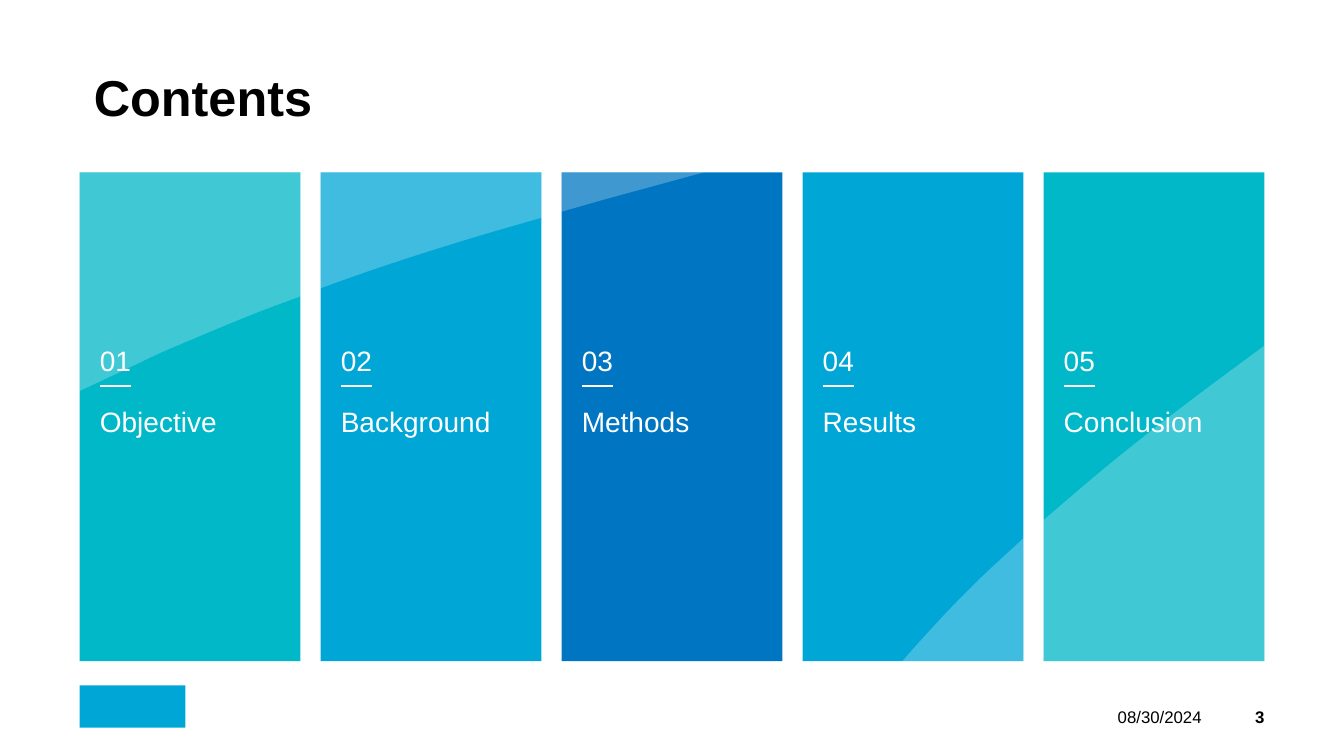
from pptx import Presentation
from pptx.dml.color import RGBColor
from pptx.enum.shapes import MSO_CONNECTOR, MSO_SHAPE
from pptx.enum.text import MSO_ANCHOR, PP_ALIGN
from pptx.oxml.ns import qn
from pptx.util import Inches, Pt
from lxml.etree import SubElement

BLACK = RGBColor(0x00, 0x00, 0x00)
WHITE = RGBColor(0xFF, 0xFF, 0xFF)
TURQUOISE = RGBColor(0x00, 0xB8, 0xC8)
CYAN = RGBColor(0x00, 0xA6, 0xD6)
BLUE = RGBColor(0x00, 0x76, 0xC2)

MARGIN = 0.79
PANEL_TOP, PANEL_WIDTH, PANEL_HEIGHT, PANEL_GAP = 1.71, 2.19, 4.85, 0.2
CURVE_STEPS = 12

# Heading, colour and sheen outline, in inches from the panel's top left corner.
# Two numbers are a straight step, six are a Bezier step.
CHAPTERS = [
    ("Objective", TURQUOISE,
     [(0, 0), (2.19, 0), (2.19, 1.23), (1.84, 1.36),
      (1.48, 1.5, 1.13, 1.65, 0.78, 1.8), (0.55, 1.91, 0.3, 2.03, 0.02, 2.16), (0, 2.17)]),
    ("Background", CYAN,
     [(0, 0), (2.19, 0), (2.19, 0.45), (1.67, 0.6), (1.1, 0.77, 0.54, 0.95, 0, 1.15)]),
    ("Methods", BLUE,
     [(0, 0), (1.41, 0), (0.42, 0.27), (0, 0.39)]),
    ("Results", CYAN,
     [(2.19, 3.63), (2.19, 4.85), (0.99, 4.85), (1.05, 4.78),
      (1.28, 4.52, 1.53, 4.25, 1.8, 3.99)]),
    ("Conclusion", TURQUOISE,
     [(2.19, 1.72), (2.19, 4.85), (0, 4.85), (0, 3.45), (0.28, 3.21),
      (0.73, 2.82, 1.22, 2.44, 1.73, 2.06)]),
]


def write(frame, text, size=20, color=WHITE, bold=False, align=PP_ALIGN.LEFT,
          anchor=MSO_ANCHOR.TOP, inset=0, right_inset=0, spacing=None, wrap=True):
    frame.word_wrap = wrap
    frame.vertical_anchor = anchor
    frame.margin_left, frame.margin_right = Inches(inset), Inches(right_inset)
    frame.margin_top = frame.margin_bottom = 0
    paragraph = frame.paragraphs[0]
    paragraph.alignment = align
    paragraph.line_spacing = spacing
    run = paragraph.add_run()
    run.text = text
    run.font.name, run.font.size, run.font.bold = "Arial", Pt(size), bold
    run.font.color.rgb = color


def add_label(shapes, left, top, width, height, text, **style):
    box = shapes.add_textbox(Inches(left), Inches(top), Inches(width), Inches(height))
    write(box.text_frame, text, **style)


def paint(shape, color, opacity=None):
    shape.shadow.inherit = False
    shape.fill.solid()
    shape.fill.fore_color.rgb = color
    shape.line.fill.background()
    if opacity is not None:
        tint = shape.fill._xPr.find(qn("a:solidFill"))[0]
        SubElement(tint, qn("a:alpha")).set("val", str(opacity * 1000))


def add_block(shapes, left, top, width, height, color):
    block = shapes.add_shape(MSO_SHAPE.RECTANGLE, Inches(left), Inches(top),
                             Inches(width), Inches(height))
    paint(block, color)


def flatten(outline):
    """Turn straight and Bezier steps into a list of points."""
    points = [outline[0]]
    for step in outline[1:]:
        if len(step) == 2:
            points.append(step)
            continue
        controls = [points[-1], step[:2], step[2:4], step[4:]]
        for i in range(1, CURVE_STEPS + 1):
            t = i / CURVE_STEPS
            weights = ((1 - t) ** 3, 3 * t * (1 - t) ** 2, 3 * t ** 2 * (1 - t), t ** 3)
            points.append(tuple(sum(w * c[axis] for w, c in zip(weights, controls))
                                for axis in (0, 1)))
    return points


def add_sheen(shapes, left, top, outline):
    points = [(Inches(left + x), Inches(top + y)) for x, y in flatten(outline)]
    builder = shapes.build_freeform(*points[0])
    builder.add_line_segments(points[1:], close=True)
    paint(builder.convert_to_shape(), WHITE, opacity=25)


def add_rule(shapes, left, top, width):
    rule = shapes.add_connector(MSO_CONNECTOR.STRAIGHT, Inches(left), Inches(top),
                                Inches(left + width), Inches(top))
    rule.line.color.rgb = WHITE
    rule.line.width = Pt(1)
    SubElement(rule._element.spPr, qn("a:effectLst"))


def add_panel(slide, left, top, width, height, number, heading, color, outline):
    shapes = slide.shapes.add_group_shape().shapes
    style = dict(inset=0.2, right_inset=0.2, spacing=0.9)
    add_block(shapes, left, top, width, height, color)
    add_sheen(shapes, left, top, outline)
    add_label(shapes, left, top + 2.34, width, height - 2.34, heading, **style)
    add_label(shapes, left, top + 1.74, width, 0.3, f"{number:02}",
              anchor=MSO_ANCHOR.BOTTOM, **style)
    add_rule(shapes, left + 0.2, top + 2.12, 0.31)


def add_title(slide, left, top, width, height):
    title = slide.shapes.title
    title.left, title.top = Inches(left), Inches(top)
    title.width, title.height = Inches(width), Inches(height)
    write(title.text_frame, "Contents", size=36, color=BLACK, bold=True,
          inset=0.14, spacing=Pt(36))


def add_footer(slide, left, top, width, height):
    style = dict(size=12, color=BLACK, align=PP_ALIGN.RIGHT,
                 anchor=MSO_ANCHOR.MIDDLE, wrap=False)
    right = left + width
    # Plain block in the emblem's place
    add_block(slide.shapes, left, top, 1.05, height, CYAN)
    # Date and slide number
    add_label(slide.shapes, right - 1.62, top + 0.21, 1, 0.2, "08/30/2024", **style)
    add_label(slide.shapes, right - 0.32, top + 0.21, 0.32, 0.2, "3", bold=True, **style)


def main():
    deck = Presentation()
    deck.slide_width, deck.slide_height = Inches(13.33), Inches(7.5)
    slide = deck.slides.add_slide(deck.slide_layouts[5])

    add_title(slide, MARGIN, 0.76, 11.76, 0.5)
    for i, (heading, color, outline) in enumerate(CHAPTERS):
        add_panel(slide, MARGIN + i * (PANEL_WIDTH + PANEL_GAP), PANEL_TOP,
                  PANEL_WIDTH, PANEL_HEIGHT, i + 1, heading, color, outline)
    add_footer(slide, MARGIN, 6.8, 11.75, 0.42)

    deck.save("out.pptx")


if __name__ == "__main__":
    main()
